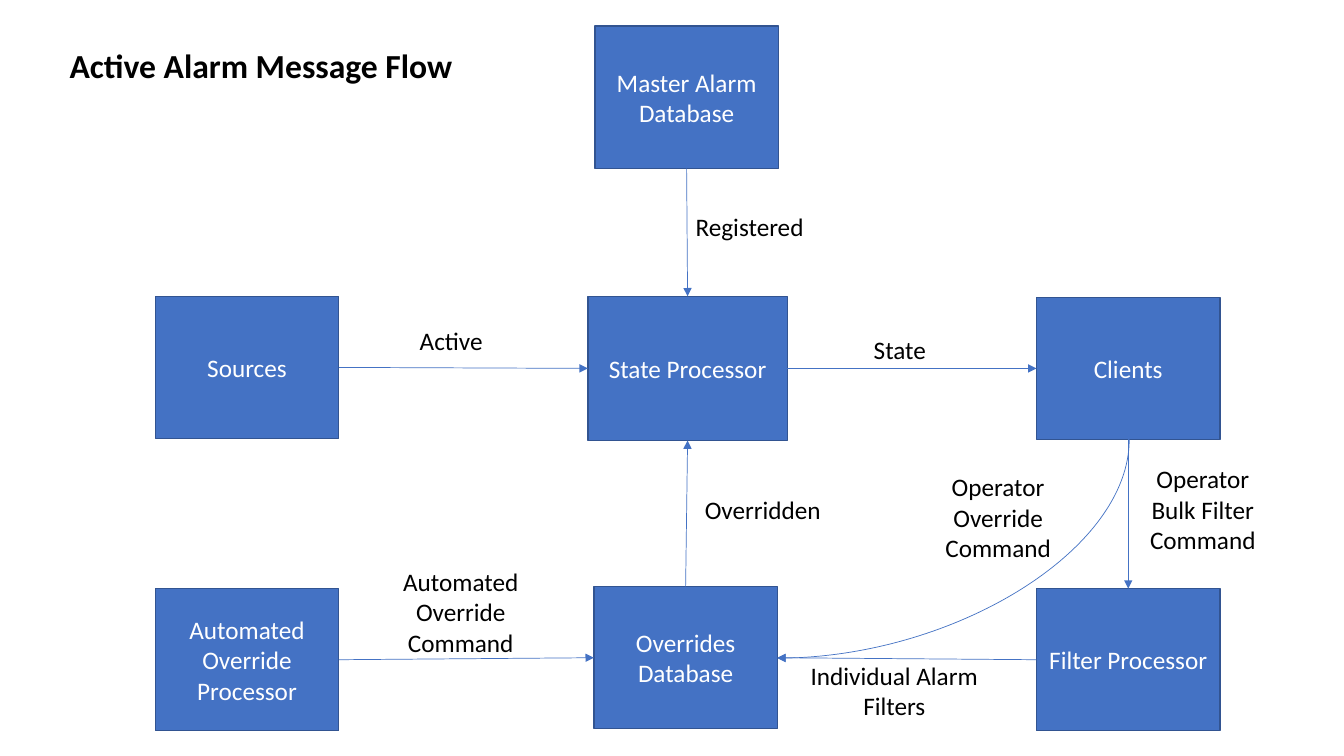
from dataclasses import dataclass

from lxml.etree import SubElement
from pptx import Presentation
from pptx.dml.color import RGBColor
from pptx.enum.shapes import MSO_CONNECTOR as Link, MSO_SHAPE as Preset
from pptx.enum.text import MSO_ANCHOR as Anchor, MSO_AUTO_SIZE as AutoSize, PP_ALIGN as Align
from pptx.oxml.ns import qn
from pptx.shapes.autoshape import Shape
from pptx.shapes.connector import Connector
from pptx.slide import Slide
from pptx.text.text import TextFrame
from pptx.util import Inches, Pt

COLOURS = {"box": "4472C4", "border": "325491", "box_text": "FFFFFF", "text": "000000"}
FONT = "Calibri"
TOP, LEFT, BOTTOM, RIGHT = range(4)


@dataclass
class Component:
    name: str
    left: float
    top: float
    width: float = 1.82
    height: float = 1.41


@dataclass
class Flow:
    source: str
    source_side: int
    target: str
    target_side: int


@dataclass
class Label:
    text: str
    left: float
    top: float
    width: float
    height: float


COMPONENTS = [
    Component("Sources", 1.54, 2.94),
    Component("Clients", 10.28, 2.95),
    Component("State Processor", 5.83, 2.94, 1.98, 1.43),
    Component("Master Alarm Database", 5.9, 0.26),
    Component("Overrides\nDatabase", 5.89, 5.82),
    Component("Automated Override Processor", 1.54, 5.84),
    Component("Filter Processor", 10.28, 5.84),
]

FLOWS = [
    Flow("Sources", RIGHT, "State Processor", LEFT),
    Flow("State Processor", RIGHT, "Clients", LEFT),
    Flow("Master Alarm Database", BOTTOM, "State Processor", TOP),
    Flow("Overrides\nDatabase", TOP, "State Processor", BOTTOM),
    Flow("Automated Override Processor", RIGHT, "Overrides\nDatabase", LEFT),
    Flow("Clients", BOTTOM, "Filter Processor", TOP),
    Flow("Filter Processor", LEFT, "Overrides\nDatabase", RIGHT),
]

LABELS = [
    Label("Operator\nOverride\nCommand", 8.93, 4.63, 1.94, 1.01),
    Label("Active", 3.7, 3.18, 1.55, 0.57),
    Label("State", 8.15, 3.27, 1.55, 0.57),
    Label("Registered", 6.11, 2.05, 2.65, 0.57),
    Label("Automated\nOverride\nCommand", 3.6, 5.57, 1.94, 1.01),
    Label("Overridden", 6.67, 4.85, 1.79, 0.4),
    Label("Individual Alarm Filters", 7.9, 6.5, 1.94, 0.71),
    Label("Operator\nBulk Filter Command", 10.96, 4.55, 1.94, 1.01),
]


def rgb(name: str) -> RGBColor:
    return RGBColor.from_string(COLOURS[name])


def write(frame: TextFrame, text: str, colour: str, anchor: Anchor,
          align: Align = Align.CENTER, size: int = 18, bold: bool = False) -> None:
    frame.word_wrap = True
    frame.auto_size = AutoSize.NONE
    frame.vertical_anchor = anchor
    for index, line in enumerate(text.split("\n")):
        paragraph = frame.add_paragraph() if index else frame.paragraphs[0]
        paragraph.alignment = align
        run = paragraph.add_run()
        run.text = line
        run.font.name = FONT
        run.font.size = Pt(size)
        run.font.bold = bold
        run.font.color.rgb = rgb(colour)


def draw_component(slide: Slide, component: Component) -> Shape:
    box = slide.shapes.add_shape(
        Preset.RECTANGLE, Inches(component.left), Inches(component.top),
        Inches(component.width), Inches(component.height))
    box.shadow.inherit = False
    box.fill.solid()
    box.fill.fore_color.rgb = rgb("box")
    box.line.color.rgb = rgb("border")
    box.line.width = Pt(1)
    write(box.text_frame, component.name, "box_text", Anchor.MIDDLE)
    return box


def style_arrow(arrow: Connector) -> None:
    arrow.line.color.rgb = rgb("box")
    arrow.line.width = Pt(0.5)
    SubElement(arrow.line._get_or_add_ln(), qn("a:tailEnd"), type="triangle")
    SubElement(arrow._element.spPr, qn("a:effectLst"))


def draw_flow(slide: Slide, flow: Flow, boxes: dict[str, Shape]) -> None:
    arrow = slide.shapes.add_connector(Link.STRAIGHT, 0, 0, 0, 0)
    arrow.begin_connect(boxes[flow.source], flow.source_side)
    arrow.end_connect(boxes[flow.target], flow.target_side)
    style_arrow(arrow)


def draw_operator_override(slide: Slide) -> None:
    """Quarter curve from Clients down and left to Overrides Database."""
    curve = slide.shapes.add_connector(
        Link.CURVE, Inches(8.37), Inches(3.7), Inches(10.54), Inches(7.19))
    properties = curve._element.spPr
    properties.find(qn("a:xfrm")).set("rot", str(90 * 60000))
    properties.find(qn("a:prstGeom")).set("prst", "curvedConnector2")
    style_arrow(curve)


def draw_label(slide: Slide, label: Label) -> None:
    box = slide.shapes.add_textbox(
        Inches(label.left), Inches(label.top), Inches(label.width), Inches(label.height))
    write(box.text_frame, label.text, "text", Anchor.TOP)


def main() -> None:
    deck = Presentation()
    deck.slide_width, deck.slide_height = Inches(13.33), Inches(7.5)
    slide = deck.slides.add_slide(deck.slide_layouts.get_by_name("Title Only"))

    # Heading
    heading = slide.shapes.title
    heading.left, heading.top = Inches(0.59), Inches(0.4)
    heading.width, heading.height = Inches(5.11), Inches(0.5)
    write(heading.text_frame, "Active Alarm Message Flow", "text", Anchor.TOP,
          Align.LEFT, 24, True)

    # Components and the messages between them
    boxes = {component.name: draw_component(slide, component) for component in COMPONENTS}
    for flow in FLOWS:
        draw_flow(slide, flow, boxes)
    draw_operator_override(slide)

    # Message names
    for label in LABELS:
        draw_label(slide, label)

    deck.save("out.pptx")


if __name__ == "__main__":
    main()
